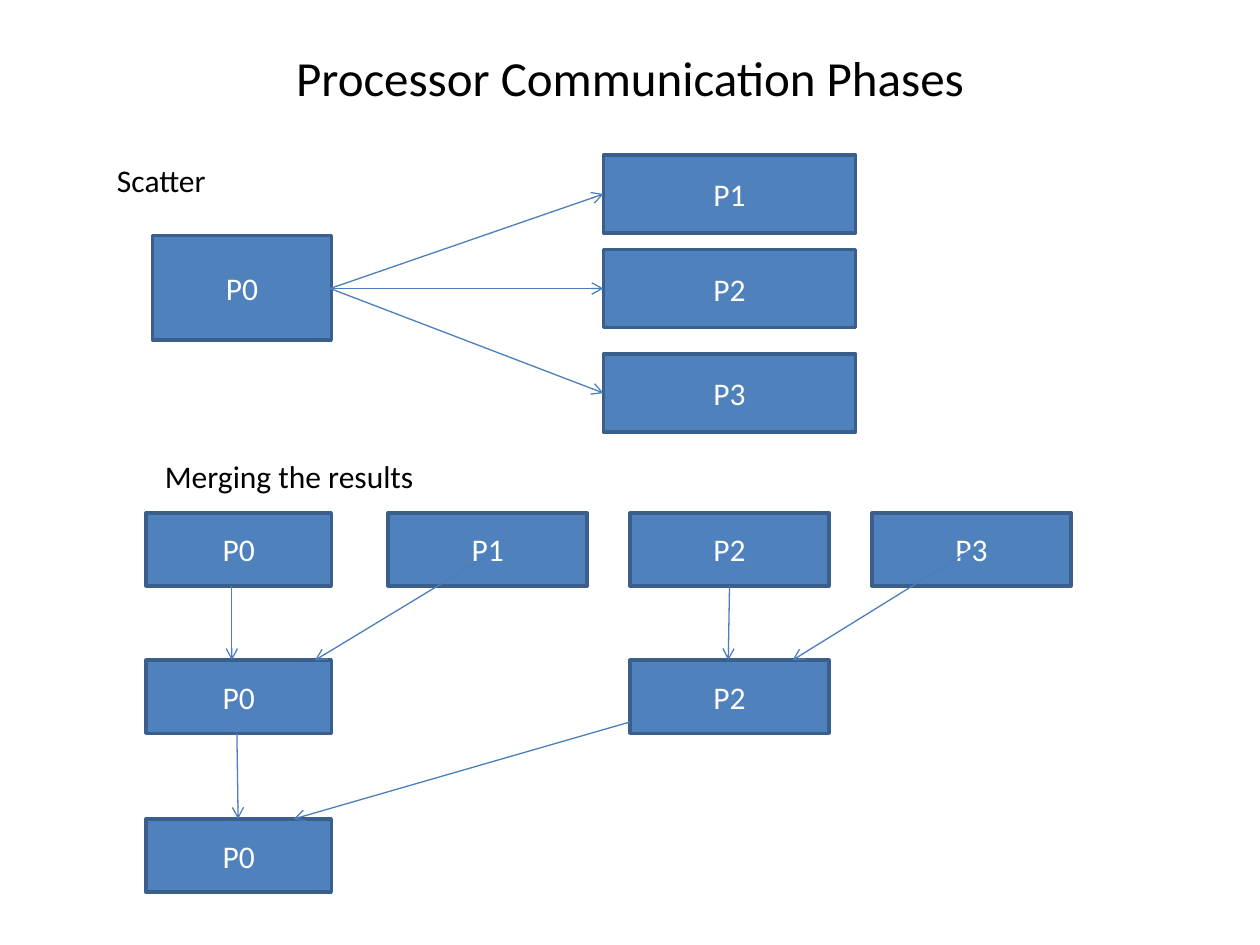
from dataclasses import dataclass

from lxml import etree
from pptx import Presentation
from pptx.dml.color import RGBColor
from pptx.enum.shapes import MSO_CONNECTOR, MSO_SHAPE
from pptx.enum.text import MSO_ANCHOR, MSO_AUTO_SIZE, PP_ALIGN
from pptx.oxml.ns import qn
from pptx.util import Inches, Pt

RECT = MSO_SHAPE.RECTANGLE
STRAIGHT = MSO_CONNECTOR.STRAIGHT
MIDDLE = MSO_ANCHOR.MIDDLE
TOP = MSO_ANCHOR.TOP
CENTER = PP_ALIGN.CENTER
LEFT = PP_ALIGN.LEFT
FIT_SHAPE = MSO_AUTO_SIZE.SHAPE_TO_FIT_TEXT
NO_FIT = MSO_AUTO_SIZE.NONE


@dataclass(frozen=True)
class Theme:
    font: str = "Calibri"
    title_size: int = 28
    body_size: int = 18
    text: str = "000000"
    box_text: str = "FFFFFF"
    box_fill: str = "4F81BD"
    box_line: str = "3A5F8C"
    arrow: str = "4B7EBC"
    box_width: float = 2
    arrow_width: float = 0.75


THEME = Theme()


def set_attrs(obj, values):
    for name, value in values.items():
        setattr(obj, name, value)


def set_text(sp, text, size, color, align, anchor, fit=NO_FIT):
    tf = sp.text_frame
    set_attrs(tf, {"word_wrap": True, "auto_size": fit, "vertical_anchor": anchor})
    p = tf.paragraphs[0]
    p.alignment = align
    r = p.add_run()
    r.text = text
    set_attrs(r.font, {"name": THEME.font, "size": Pt(size)})
    r.font.color.rgb = RGBColor.from_string(color)


def set_line(line, color, width):
    line.color.rgb = RGBColor.from_string(color)
    line.width = Pt(width)


def add_title(s, text):
    sp = s.shapes.title
    set_attrs(sp, {"left": Inches(0.5), "top": Inches(0.3),
                   "width": Inches(9), "height": Inches(0.62)})
    set_text(sp, text, THEME.title_size, THEME.text, CENTER, MIDDLE)


def add_label(s, text, x, y, w):
    sp = s.shapes.add_textbox(Inches(x), Inches(y), Inches(w), Inches(0.4))
    set_text(sp, text, THEME.body_size, THEME.text, LEFT, TOP, FIT_SHAPE)


def add_process(s, text, x, y, w, h):
    sp = s.shapes.add_shape(RECT, Inches(x), Inches(y), Inches(w), Inches(h))
    sp.shadow.inherit = False
    sp.fill.solid()
    sp.fill.fore_color.rgb = RGBColor.from_string(THEME.box_fill)
    set_line(sp.line, THEME.box_line, THEME.box_width)
    set_text(sp, text, THEME.body_size, THEME.box_text, CENTER, MIDDLE)


def add_arrow(s, x1, y1, x2, y2):
    cx = s.shapes.add_connector(STRAIGHT, Inches(x1), Inches(y1), Inches(x2), Inches(y2))
    set_line(cx.line, THEME.arrow, THEME.arrow_width)
    etree.SubElement(cx.line._get_or_add_ln(), qn("a:tailEnd"), type="arrow")
    etree.SubElement(cx._element.spPr, qn("a:effectLst"))


def add_scatter(s):
    add_label(s, "Scatter", 0.83, 1.23, 3.42)
    add_process(s, "P0", 1.21, 1.87, 1.42, 0.83)
    x, h = 4.79, 0.62
    for i, y in enumerate((1.23, 1.98, 2.81), start=1):
        add_process(s, f"P{i}", x, y, 2, h)
        add_arrow(s, 2.62, 2.29, x, y + h / 2)


def add_merge(s):
    add_label(s, "Merging the results", 1.21, 3.58, 4.21)
    w0, w, h = 1.47, 1.58, 0.58
    column = [1.16 + 1.92 * i for i in range(4)]
    row1, row2, row3 = 4.07, 5.24, 6.5
    for y in (row1, row2, row3):
        add_process(s, "P0", column[0], y, w0, h)
    for i in (1, 2, 3):
        add_process(s, f"P{i}", column[i], row1, w, h)
    add_process(s, "P2", column[2], row2, w, h)

    arrows = [
        (1.84, row1 + h, 1.84, row2),
        (3.92, 4.38, 2.5, row2),
        (5.79, row1 + h, 5.78, row2),
        (7.71, 4.36, 6.29, row2),
        (1.88, row2 + h, 1.89, row3),
        (column[2], 5.73, 2.33, row3),
    ]
    for ends in arrows:
        add_arrow(s, *ends)


def main():
    prs = Presentation()
    set_attrs(prs, {"slide_width": Inches(10), "slide_height": Inches(7.5)})
    s = prs.slides.add_slide(prs.slide_layouts[5])
    add_title(s, "Processor Communication Phases")
    add_scatter(s)
    add_merge(s)
    prs.save("out.pptx")


if __name__ == "__main__":
    main()
